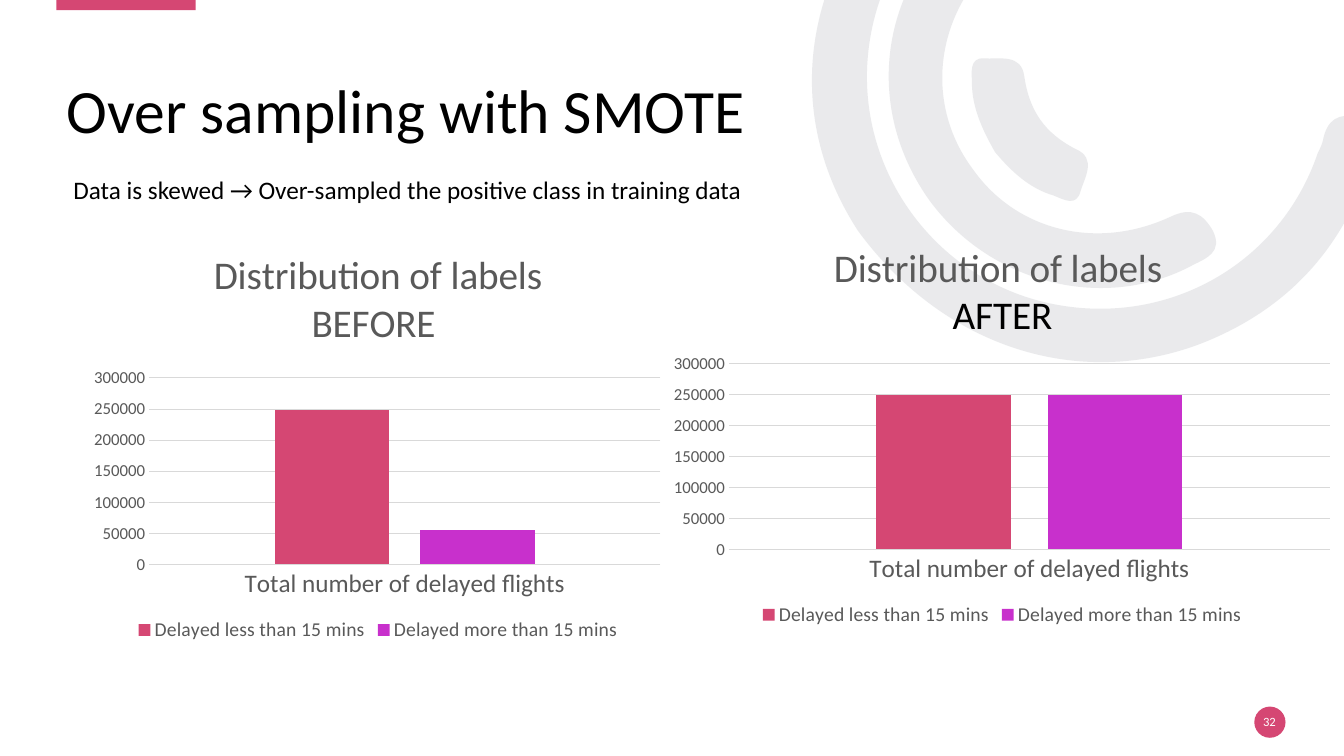
from lxml import etree
from pptx import Presentation, util as u
from pptx.chart.data import CategoryChartData
from pptx.dml.color import RGBColor
from pptx.enum import chart as ch, shapes, text
from pptx.oxml import parse_xml
from pptx.oxml.ns import nsdecls, qn

COLORS = {"rose": "D54773", "violet": "C830CC", "gray": "595959", "grid": "D9D9D9",
          "swirl": "D8D9DC", "black": "000000", "white": "FFFFFF"}
FONT = "Calibri"

TITLE = "Over sampling with SMOTE"
SUBTITLE = "Data is skewed → Over-sampled the positive class in training data"
PAGE = "32"
CATEGORY = "Total number of delayed flights"
SERIES = [("Delayed less than 15 mins", "rose"), ("Delayed more than 15 mins", "violet")]

# frame and plot are left, top, width, height; heading is left, top; all in slide inches
CHARTS = [
    {"lines": [("Distribution of labels", "gray"), ("BEFORE ", "gray")],
     "values": [249000, 55000], "frame": (0.83, 2.25, 5.84, 4.16),
     "plot": (1.48, 3.75, 5.07, 1.85), "heading": (2.09, 2.46)},
    {"lines": [("Distribution of labels ", "gray"), ("AFTER", "black")],
     "values": [249000, 249000], "frame": (6.55, 2.25, 6.78, 4.01),
     "plot": (7.23, 3.61, 5.96, 1.84), "heading": (8.24, 2.39)},
]

# Each swirl: start point, then curves as two control points and an end point
SWIRLS = [
    [(8.51, 2.29),
     (7.99, 1.49, 7.87, 0.5, 8.38, -0.5), (8.9, -1.52, 9.76, -2.03, 10.9, -2.07),
     (11.05, -2.07, 11.21, -2.1, 11.31, -1.95), (11.44, -1.75, 11.27, -1.54, 10.98, -1.54),
     (9.67, -1.54, 8.65, -0.59, 8.6, 0.68), (8.56, 1.81, 9.36, 2.81, 10.46, 3.02),
     (11.6, 3.24, 12.7, 2.61, 13.07, 1.52), (13.09, 1.48, 13.11, 1.44, 13.12, 1.4),
     (13.16, 1.19, 13.27, 1.11, 13.49, 1.17), (13.73, 1.24, 13.67, 1.41, 13.61, 1.56),
     (13.34, 2.45, 12.78, 3.07, 11.91, 3.41), (10.7, 3.87, 9.36, 3.45, 8.51, 2.29)],
    [(9.22, 1.99),
     (8.62, 1.15, 8.69, 0.07, 9.4, -0.68), (9.51, -0.79, 9.62, -0.95, 9.8, -0.78),
     (9.95, -0.64, 9.97, -0.5, 9.79, -0.32), (9.25, 0.26, 9.2, 1.08, 9.65, 1.68),
     (10.08, 2.29, 10.88, 2.49, 11.61, 2.15), (11.82, 2.05, 11.93, 2.12, 12.03, 2.29),
     (12.13, 2.5, 11.97, 2.56, 11.83, 2.63), (10.96, 3.1, 9.83, 2.82, 9.22, 1.99)],
    [(9.87, 1.51),
     (9.75, 1.3, 9.64, 1.07, 9.64, 0.82), (9.64, 0.73, 9.61, 0.57, 9.76, 0.58),
     (9.92, 0.59, 10.13, 0.53, 10.16, 0.76), (10.21, 1.1, 10.36, 1.32, 10.67, 1.48),
     (10.88, 1.57, 10.76, 1.76, 10.72, 1.89), (10.68, 2.06, 10.55, 1.98, 10.45, 1.94),
     (10.21, 1.87, 10.03, 1.7, 9.87, 1.51)],
]


def rgb(name):
    return RGBColor.from_string(COLORS[name])


def inches(box):
    return [u.Inches(length) for length in box]


def style_font(font, size, color):
    font.name, font.size, font.bold = FONT, u.Pt(size), False
    font.color.rgb = rgb(color)


def paint(shape, color):
    shape.shadow.inherit = False
    shape.fill.solid()
    shape.fill.fore_color.rgb = rgb(color)
    shape.line.fill.background()


def add_swirl(slide, start, *curves):
    """Lay out all curve points as line ends, then join each three into a cubic curve."""
    builder = slide.shapes.build_freeform(*inches(start))
    builder.add_line_segments(
        [inches(curve[i:i + 2]) for curve in curves for i in (0, 2, 4)], close=True)
    swirl = builder.convert_to_shape()
    lines = list(swirl._element.iter(qn("a:lnTo")))
    for first in range(0, len(curves) * 3, 3):
        cubic = etree.Element(qn("a:cubicBezTo"))
        lines[first].addprevious(cubic)
        for line in lines[first:first + 3]:
            cubic.append(line[0])
            line.getparent().remove(line)
    paint(swirl, "swirl")
    fill_color = swirl._element.spPr.find(qn("a:solidFill"))[0]
    etree.SubElement(fill_color, qn("a:alpha")).set("val", "53000")


def add_label(slide, words, box, size, color, wrap=True, inset=None, align=None):
    label = slide.shapes.add_textbox(*inches(box))
    frame = label.text_frame
    frame.word_wrap = wrap
    frame.vertical_anchor = text.MSO_ANCHOR.MIDDLE
    if inset is not None:
        frame.margin_left = frame.margin_right = u.Inches(inset)
        frame.margin_top = frame.margin_bottom = u.Inches(inset)
    paragraph = frame.paragraphs[0]
    paragraph.text = words
    paragraph.alignment = align
    style_font(paragraph.font, size, color)
    return paragraph


def place(element, index, frame, box, inner=False):
    """Fix a chart part at a box given in slide inches."""
    old = element.find(qn("c:layout"))
    if old is not None:
        element.remove(old)
    left, top, width, height = frame
    parts = {"x": (box[0] - left) / width, "y": (box[1] - top) / height}
    if inner:
        parts.update(w=box[2] / width, h=box[3] / height)
    target = '<c:layoutTarget val="inner"/>' if inner else ""
    modes = '<c:xMode val="edge"/><c:yMode val="edge"/>'
    sizes = "".join(f'<c:{key} val="{value:.4f}"/>' for key, value in parts.items())
    element.insert(index, parse_xml(
        f'<c:layout {nsdecls("c")}><c:manualLayout>{target}{modes}{sizes}'
        '</c:manualLayout></c:layout>'))


def add_label_chart(slide, lines, values, frame, plot, heading):
    data = CategoryChartData()
    data.categories = [CATEGORY]
    for (name, _), value in zip(SERIES, values):
        data.add_series(name, [value])
    chart = slide.shapes.add_chart(
        ch.XL_CHART_TYPE.COLUMN_CLUSTERED, *inches(frame), data).chart
    style_font(chart.font, 10, "black")

    title = chart.chart_title
    title_frame = title.text_frame
    for number, (words, color) in enumerate(lines):
        paragraph = title_frame.add_paragraph() if number else title_frame.paragraphs[0]
        run = paragraph.add_run()
        run.text = words
        style_font(paragraph.font, 28, color)
        style_font(run.font, 28, color)
    place(title._element, 1, frame, heading)
    place(chart._chartSpace.chart.plotArea, 0, frame, plot, inner=True)

    bars = chart.plots[0]
    bars.gap_width, bars.overlap, bars.vary_by_categories = 219, -27, False
    for series, (_, color) in zip(bars.series, SERIES):
        series.format.fill.solid()
        series.format.fill.fore_color.rgb = rgb(color)

    for axis, size in ((chart.category_axis, 18), (chart.value_axis, 12)):
        axis.major_tick_mark = axis.minor_tick_mark = ch.XL_TICK_MARK.NONE
        style_font(axis.tick_labels.font, size, "gray")
    counts = chart.value_axis
    counts.minimum_scale, counts.maximum_scale, counts.major_unit = 0, 300000, 50000
    counts.format.line.fill.background()
    for line in (chart.category_axis.format.line, counts.major_gridlines.format.line):
        line.color.rgb = rgb("grid")
        line.width = u.Pt(0.75)

    chart.has_legend = True
    chart.legend.position = ch.XL_LEGEND_POSITION.BOTTOM
    chart.legend.include_in_layout = False
    style_font(chart.legend.font, 14, "gray")


def main():
    deck = Presentation()
    deck.slide_width, deck.slide_height = inches((13.33, 7.5))
    slide = deck.slides.add_slide(deck.slide_layouts[6])
    for swirl in SWIRLS:
        add_swirl(slide, *swirl)
    for kind, box in ((shapes.MSO_SHAPE.RECTANGLE, (0.56, -0.02, 1.38, 0.12)),
                      (shapes.MSO_SHAPE.OVAL, (12.44, 7.01, 0.31, 0.31))):
        paint(slide.shapes.add_shape(kind, *inches(box)), "rose")
    add_label(slide, PAGE, (12.43, 7.06, 0.32, 0.2), 9, "white",
              inset=0, align=text.PP_ALIGN.CENTER)
    add_label(slide, TITLE, (0.56, 0.4, 11.85, 1.45), 44, "black").line_spacing = 0.9
    add_label(slide, SUBTITLE, (0.63, 1.68, 6.93, 0.4), 18, "black", wrap=False)
    for chart in CHARTS:
        add_label_chart(slide, **chart)
    deck.save("out.pptx")


if __name__ == "__main__":
    main()
